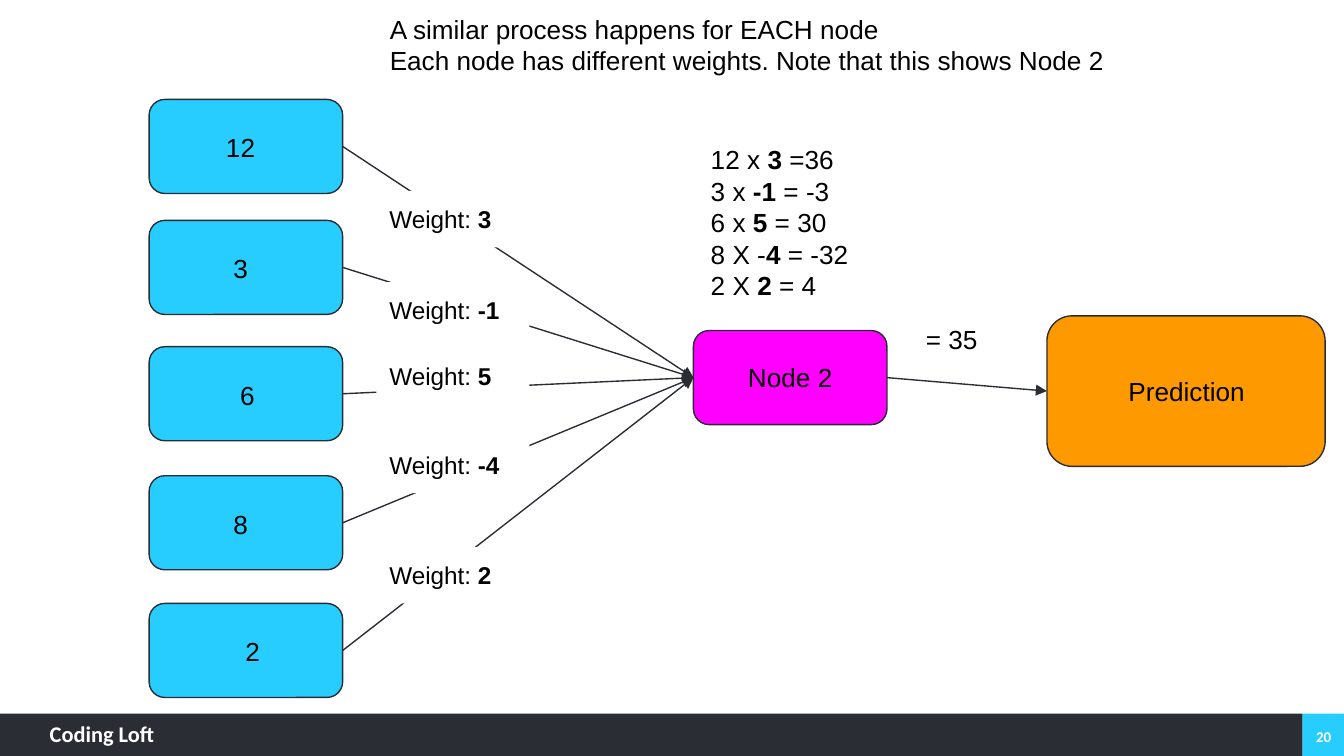
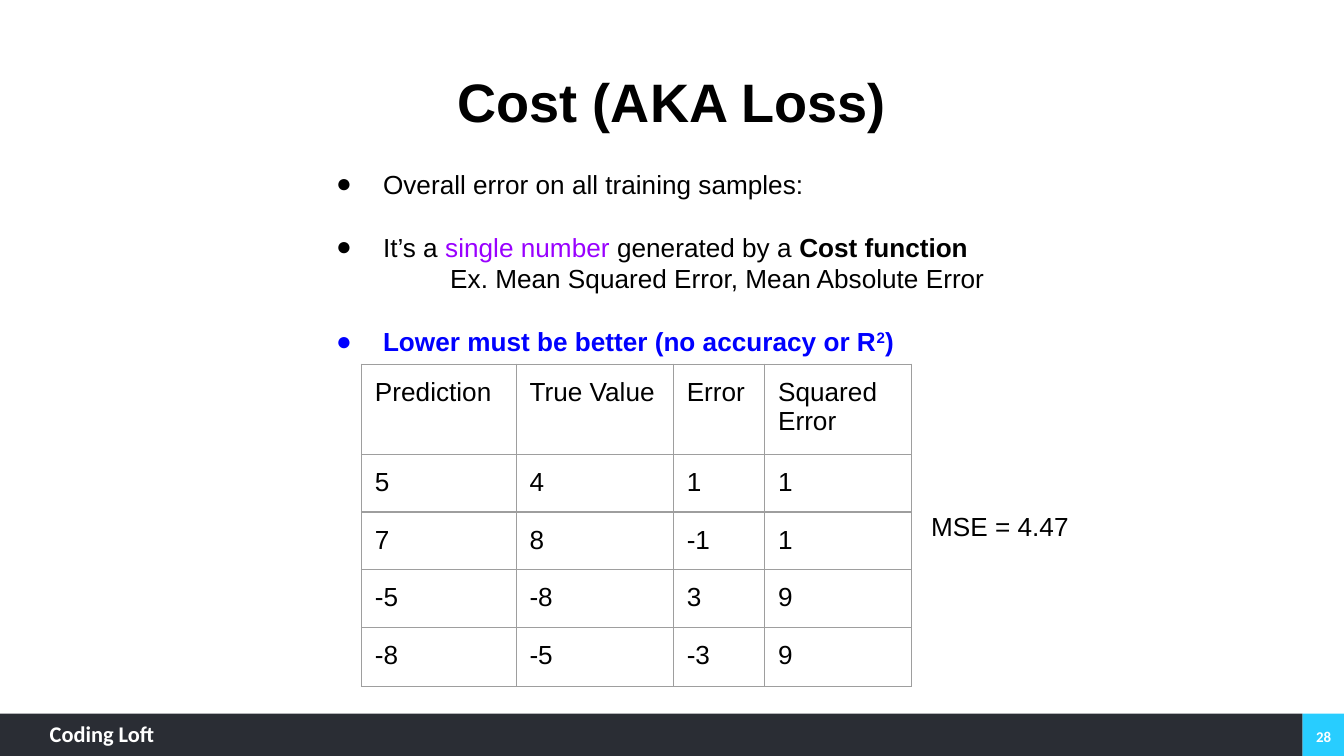
from collections import namedtuple

from lxml.etree import SubElement
from pptx import Presentation
from pptx.dml.color import RGBColor
from pptx.enum.shapes import MSO_CONNECTOR, MSO_SHAPE
from pptx.enum.text import MSO_ANCHOR, MSO_AUTO_SIZE, PP_ALIGN
from pptx.oxml.ns import qn
from pptx.util import Emu, Pt

EMU_PER_PX = 9144
BLACK = RGBColor(0x00, 0x00, 0x00)
WHITE = RGBColor(0xFF, 0xFF, 0xFF)
CYAN = RGBColor(0x28, 0xCD, 0xFF)
DARK = RGBColor(0x2A, 0x2D, 0x34)
ORANGE = RGBColor(0xFF, 0x99, 0x00)
MAGENTA = RGBColor(0xFF, 0x00, 0xFF)
PURPLE = RGBColor(0x99, 0x00, 0xFF)
BLUE = RGBColor(0x00, 0x00, 0xFF)
GRAY = RGBColor(0x9E, 0x9E, 0x9E)

BODY = {"name": "Arial", "size": Pt(14), "bold": False, "color": BLACK}
BOLD = {**BODY, "bold": True}
WEIGHT = {**BODY, "size": Pt(13)}
HEADING = {**BOLD, "size": Pt(29)}
BRAND = {"name": "Calibri", "size": Pt(12), "bold": True, "color": WHITE}
NUMBER = {**BRAND, "size": Pt(8)}
BLANK_LINE = Pt(17)
NODE_SIZE = (144, 70)


class Box(namedtuple("Box", "left top width height")):
    def inner(self, left, top, width, height):
        return Box(self.left + left, self.top + top, width, height)

    def emu(self):
        return [px(length) for length in self]


def px(length):
    return Emu(length * EMU_PER_PX)


PAGE = Box(0, 0, 1000, 562)
FOOTER = Box(0, 531, 1000, 32)


def add_spans(para, spans):
    for text, style in spans:
        span = para.add_run()
        span.text = text
        for key, value in style.items():
            if key == "color":
                span.font.color.rgb = value
            elif key == "baseline":
                span.font._element.set("baseline", str(value))
            else:
                setattr(span.font, key, value)


def fill_frame(frame, lines, align=PP_ALIGN.LEFT, anchor=MSO_ANCHOR.TOP, insets=(10, 10)):
    across, down = map(px, insets)
    settings = {"word_wrap": True, "auto_size": MSO_AUTO_SIZE.NONE,
                "vertical_anchor": anchor, "margin_left": across,
                "margin_right": across, "margin_top": down, "margin_bottom": down}
    for key, value in settings.items():
        setattr(frame, key, value)
    for index, spans in enumerate(lines):
        para = frame.add_paragraph() if index else frame.paragraphs[0]
        para.alignment = align
        para.line_spacing = 1.0
        para.space_before = Pt(0)
        add_spans(para, spans)


def add_text(page, box, lines, **layout):
    shape = page.shapes.add_textbox(*box.emu())
    fill_frame(shape.text_frame, lines, **layout)
    return shape


def fill_placeholder(shape, box, lines, **layout):
    shape.left, shape.top, shape.width, shape.height = box.emu()
    fill_frame(shape.text_frame, lines, **layout)


def add_block(page, box, color, kind=MSO_SHAPE.RECTANGLE, outlined=False):
    shape = page.shapes.add_shape(kind, *box.emu())
    shape.shadow.inherit = False
    shape.fill.solid()
    shape.fill.fore_color.rgb = color
    if outlined:
        shape.line.color.rgb = DARK
        shape.line.width = Pt(0.75)
    else:
        shape.line.fill.background()
    return shape


def add_node(page, box, color, label, label_box):
    node = add_block(page, box, color, MSO_SHAPE.ROUNDED_RECTANGLE, outlined=True)
    add_text(page, label_box, [[(label, BODY)]], align=PP_ALIGN.CENTER)
    return node


def add_arrow(page, source, target):
    arrow = page.shapes.add_connector(MSO_CONNECTOR.STRAIGHT, 0, 0, 0, 0)
    arrow.begin_connect(source, 3)
    arrow.end_connect(target, 1)
    arrow.line.color.rgb = DARK
    arrow.line.width = Pt(0.75)
    SubElement(arrow.line._get_or_add_ln(), qn("a:tailEnd"), type="triangle")
    SubElement(arrow._element.spPr, qn("a:effectLst"))


def add_footer(page, box, number):
    bar = box.width - 31
    add_block(page, box.inner(bar, 0, 31, box.height), CYAN)
    add_block(page, box.inner(0, 0, bar, box.height), DARK)
    add_text(page, box.inner(37, 5, 157, 23), [[("Coding Loft", BRAND)]], insets=(0, 0))
    add_text(page, box.inner(970, 2, 30, 30), [[(str(number), NUMBER)]],
             align=PP_ALIGN.CENTER, anchor=MSO_ANCHOR.MIDDLE, insets=(7, 4))


def add_inputs(page, box):
    inputs = [("12", 0, 11), ("3", 90, 11), ("6", 184, 16), ("8", 280, 11), ("2", 375, 20)]
    return [add_node(page, box.inner(0, top, *NODE_SIZE), CYAN, value,
                     box.inner(indent, top + 14, 114, 44))
            for value, top, indent in inputs]


def add_weights(page, box):
    weights = [("3", 0, 124), ("-1", 68, 114), ("5", 117, 114),
               ("-4", 183, 114), ("2", 265, 124)]
    for value, top, width in weights:
        spans = [("Weight: ", WEIGHT), (value, {**WEIGHT, "bold": True})]
        label = add_text(page, box.inner(0, top, width, 42), [spans])
        label.fill.solid()
        label.fill.fore_color.rgb = WHITE


def add_products(page, box):
    products = [("12 x ", "3 ", "=36"), ("3 x ", "-1", " = -3"), ("6 x ", "5", " = 30"),
                ("8 X -", "4", " = -32"), ("2 X ", "2", " = 4")]
    add_text(page, box, [list(zip(product, (BODY, BOLD, BODY))) for product in products])


def build_network(page, box):
    sentences = ["A similar process happens for EACH node",
                 "Each node has different weights. Note that this shows Node 2"]
    fill_placeholder(page.shapes.title, box.inner(280, 0, 573, 67),
                     [[(sentence, BODY)] for sentence in sentences])
    inputs = add_inputs(page, box.inner(111, 74, 144, 445))
    prediction = add_node(page, box.inner(779, 235, 207, 112), ORANGE,
                          "Prediction", box.inner(811, 269, 144, 44))
    hidden = add_node(page, box.inner(516, 246, *NODE_SIZE), MAGENTA,
                      "Node 2", box.inner(531, 259, 114, 44))
    for source in inputs:
        add_arrow(page, source, hidden)
    add_arrow(page, hidden, prediction)
    add_weights(page, box.inner(280, 142, 124, 307))
    add_products(page, box.inner(519, 97, 144, 138))
    add_text(page, box.inner(679, 231, 69, 44), [[("= 35", BODY)]])


def format_point(para, left, indent, bullet):
    properties = para._p.get_or_add_pPr()
    properties.set("marL", str(px(left)))
    properties.set("indent", str(px(indent)))
    if bullet is None:
        SubElement(properties, qn("a:buNone"))
        return
    color = SubElement(properties, qn("a:buClr"))
    SubElement(color, qn("a:srgbClr"), val=str(bullet))
    SubElement(properties, qn("a:buFont"), typeface="Arial")
    SubElement(properties, qn("a:buChar"), char="●")


def fill_points(shape, box):
    strong = {**BOLD, "color": BLUE}
    lines = [
        [("Overall error on all training samples:", BODY)],
        [("It’s a ", BODY), ("single number", {**BODY, "color": PURPLE}),
         (" generated by a ", BODY), ("Cost function", BOLD)],
        [("Ex. Mean Squared Error, Mean Absolute Error", BODY)],
        [("Lower must be better (no accuracy or R", strong),
         ("2", {**strong, "baseline": 30000}), (")", strong)],
    ]
    fill_placeholder(shape, box, lines)
    paras = shape.text_frame.paragraphs
    for para, bullet in zip(paras, (BLACK, BLACK, None, BLUE)):
        left, indent = (50, -35) if bullet is not None else (100, 0)
        format_point(para, left, indent, bullet)
    for para in (paras[1], paras[3]):
        para.space_before = BLANK_LINE


def add_borders(cell):
    properties = cell._tc.get_or_add_tcPr()
    for index, side in enumerate(("lnL", "lnR", "lnT", "lnB")):
        line = properties.makeelement(qn(f"a:{side}"), {"w": str(Pt(0.75))})
        fill = SubElement(line, qn("a:solidFill"))
        SubElement(fill, qn("a:srgbClr"), val=str(GRAY))
        properties.insert(index, line)


def add_error_table(page, box):
    rows = [("Prediction", "True Value", "Error", "Squared Error"),
            (5, 4, 1, 1), (7, 8, -1, 1), (-5, -8, 3, 9), (-8, -5, -3, 9)]
    table = page.shapes.add_table(len(rows), len(rows[0]), *box.emu()).table
    table.first_row = table.horz_banding = False
    for column, width in zip(table.columns, (115, 117, 68, 109)):
        column.width = px(width)
    for row, height in zip(table.rows, (67, 43, 43, 43, 44)):
        row.height = px(height)
    for row, values in zip(table.rows, rows):
        for cell, value in zip(row.cells, values):
            for side in ("left", "right", "top", "bottom"):
                setattr(cell, f"margin_{side}", px(10))
            cell.fill.background()
            add_borders(cell)
            add_spans(cell.text_frame.paragraphs[0], [(str(value), BODY)])


def build_cost(page, box):
    fill_placeholder(page.shapes.title, box.inner(216, 41, 568, 69),
                     [[("Cost (AKA Loss)", HEADING)]], align=PP_ALIGN.CENTER)
    fill_points(page.placeholders[1], box.inner(225, 115, 550, 162))
    add_error_table(page, box.inner(269, 271, 409, 240))
    add_text(page, box.inner(683, 370, 171, 44), [[("MSE = 4.47", BODY)]])


def main():
    deck = Presentation()
    deck.slide_width = px(PAGE.width)
    deck.slide_height = Emu(deck.slide_width * 9 // 16)
    for layout, number, build in ((5, 20, build_network), (1, 28, build_cost)):
        page = deck.slides.add_slide(deck.slide_layouts[layout])
        add_footer(page, FOOTER, number)
        build(page, PAGE)
    deck.save("out.pptx")


if __name__ == "__main__":
    main()
